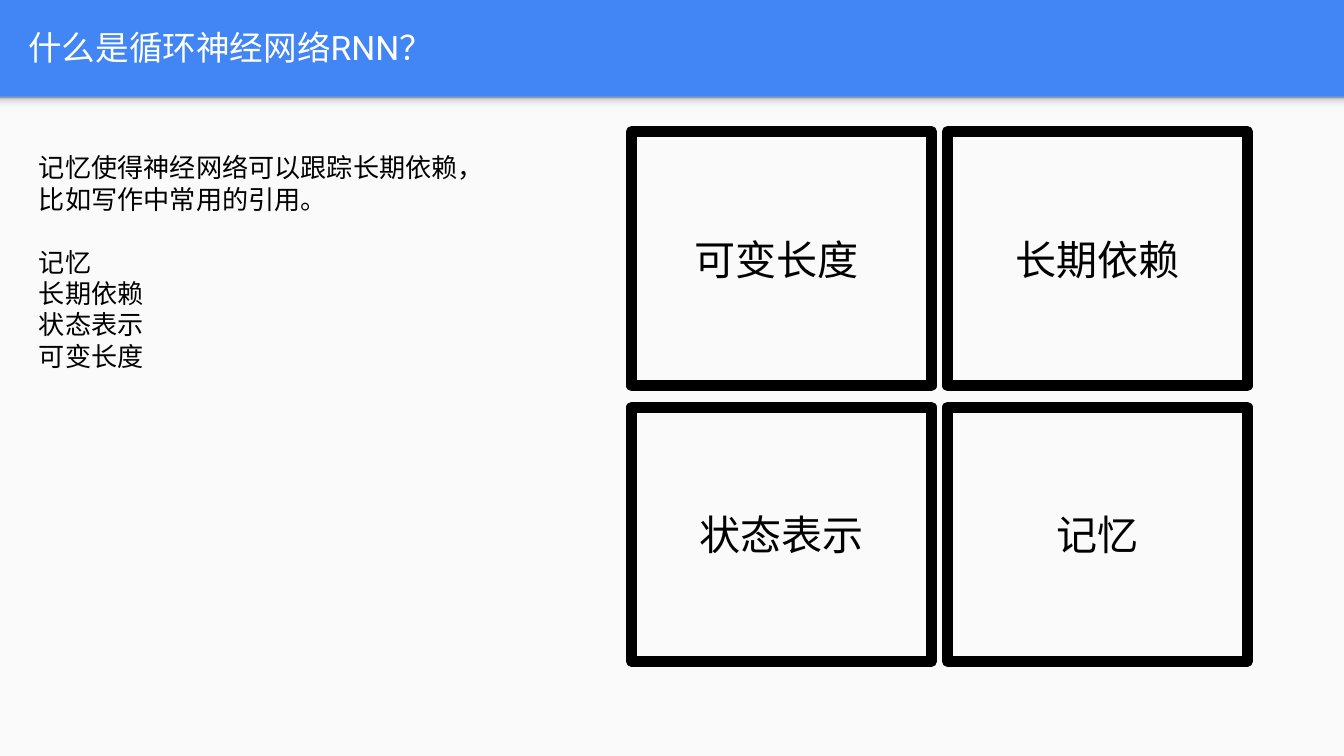
"""Build the slide that introduces recurrent neural networks."""
from dataclasses import dataclass

from lxml.etree import SubElement
from pptx import Presentation
from pptx.dml.color import RGBColor
from pptx.enum.shapes import MSO_SHAPE as Preset
from pptx.enum.text import MSO_ANCHOR as Anchor, MSO_AUTO_SIZE as AutoSize, PP_ALIGN as Align
from pptx.oxml.ns import qn
from pptx.shapes.autoshape import Shape
from pptx.slide import Slide
from pptx.text.text import TextFrame
from pptx.util import Inches, Pt


@dataclass(frozen=True)
class Theme:
    header: str = "4285F4"
    panel: str = "FAFAFA"
    title_ink: str = "FFFFFF"
    ink: str = "000000"
    shadow_stops: tuple = ((0, "F9F9F9"), (36, "F9F9F9"), (80, "DEDEDE"), (100, "999999"))
    title_font: str = "Roboto"
    text_font: str = "Arial"
    title_size: float = 18
    label_size: float = 22
    body_size: float = 14
    paragraph_gap: float = 16.8
    border: float = 6


@dataclass(frozen=True)
class Box:
    left: float
    top: float
    width: float
    height: float


@dataclass(frozen=True)
class Card:
    label: str
    column: int
    row: int


THEME = Theme()
SLIDE_WIDTH = 10
SLIDE_HEIGHT = SLIDE_WIDTH * 9 / 16
TITLE_BOX = Box(0.11, 0.02, 9.65, 0.66)
BODY_BOX = Box(0.19, 1.03, 3.68, 2.09)
PANEL_BOX = Box(0, 0.72, SLIDE_WIDTH, 4.91)
SHADOW_BOX = Box(0, 0.72, SLIDE_WIDTH, 0.12)
FIRST_CARD = Box(4.7, 0.98, 2.23, 1.89)
COLUMN_STEP, ROW_STEP = 2.35, 2.05
CARDS = (
    Card("可变长度 ", 0, 0),
    Card("长期依赖", 1, 0),
    Card("记忆", 1, 1),
    Card("状态表示", 0, 1),
)
TITLE = "什么是循环神经网络RNN？"
INTRODUCTION = "记忆使得神经网络可以跟踪长期依赖，比如写作中常用的引用。"
TOPICS = ("记忆", "长期依赖", "状态表示", "可变长度")


def place(shape: Shape, box: Box) -> None:
    shape.left, shape.top = Inches(box.left), Inches(box.top)
    shape.width, shape.height = Inches(box.width), Inches(box.height)


def add_rectangle(slide: Slide, box: Box) -> Shape:
    shape = slide.shapes.add_shape(Preset.RECTANGLE, 0, 0, 0, 0)
    place(shape, box)
    shape.shadow.inherit = False
    return shape


def format_text(frame: TextFrame, font_name: str, size: float, color: str,
                align: Align, anchor: Anchor) -> None:
    frame.word_wrap = True
    frame.auto_size = AutoSize.NONE
    frame.vertical_anchor = anchor
    frame.margin_left = frame.margin_right = Inches(0.1)
    frame.margin_top = frame.margin_bottom = Inches(0.1)
    for paragraph in frame.paragraphs:
        paragraph.alignment = align
        paragraph.space_before = Pt(0)
        paragraph.font.name = font_name
        paragraph.font.size = Pt(size)
        paragraph.font.color.rgb = RGBColor.from_string(color)


def add_backdrop(slide: Slide) -> None:
    slide.background.fill.solid()
    slide.background.fill.fore_color.rgb = RGBColor.from_string(THEME.header)

    panel = add_rectangle(slide, PANEL_BOX)
    panel.fill.solid()
    panel.fill.fore_color.rgb = RGBColor.from_string(THEME.panel)

    shadow = add_rectangle(slide, SHADOW_BOX)
    shadow.fill.gradient()
    shadow.fill.gradient_angle = 90
    stops = shadow.element.spPr.find(".//" + qn("a:gsLst"))
    for stop in list(stops):
        stops.remove(stop)
    for percent, color in THEME.shadow_stops:
        stop = SubElement(stops, qn("a:gs"), pos=str(percent * 1000))
        SubElement(stop, qn("a:srgbClr"), val=color)

    for shape in (panel, shadow):
        shape.line.fill.background()
        slide.shapes.title.element.addprevious(shape.element)


def fill_title(slide: Slide) -> None:
    title = slide.shapes.title
    place(title, TITLE_BOX)
    title.text_frame.text = TITLE
    format_text(title.text_frame, THEME.title_font, THEME.title_size,
                THEME.title_ink, Align.LEFT, Anchor.MIDDLE)


def fill_body(slide: Slide) -> None:
    body = slide.placeholders[1]
    place(body, BODY_BOX)
    frame = body.text_frame
    frame.text = "\n".join((INTRODUCTION, *TOPICS))
    format_text(frame, THEME.text_font, THEME.body_size,
                THEME.ink, Align.LEFT, Anchor.TOP)
    frame.paragraphs[0].space_after = Pt(THEME.paragraph_gap)
    for paragraph in frame.paragraphs:
        properties = paragraph._p.get_or_add_pPr()
        properties.set("marL", "0")
        properties.set("indent", "0")
        bullet = SubElement(properties, qn("a:buNone"))
        properties.find(qn("a:defRPr")).addprevious(bullet)


def add_card(slide: Slide, card: Card) -> None:
    box = Box(FIRST_CARD.left + card.column * COLUMN_STEP,
              FIRST_CARD.top + card.row * ROW_STEP,
              FIRST_CARD.width, FIRST_CARD.height)
    shape = add_rectangle(slide, box)
    shape.fill.background()
    shape.line.color.rgb = RGBColor.from_string(THEME.ink)
    shape.line.width = Pt(THEME.border)
    shape.text_frame.text = card.label
    format_text(shape.text_frame, THEME.text_font, THEME.label_size,
                THEME.ink, Align.CENTER, Anchor.MIDDLE)


def main() -> None:
    presentation = Presentation()
    presentation.slide_width = Inches(SLIDE_WIDTH)
    presentation.slide_height = Inches(SLIDE_HEIGHT)
    slide = presentation.slides.add_slide(presentation.slide_layouts[1])
    add_backdrop(slide)
    fill_title(slide)
    fill_body(slide)
    for card in CARDS:
        add_card(slide, card)
    presentation.save("out.pptx")


if __name__ == "__main__":
    main()
